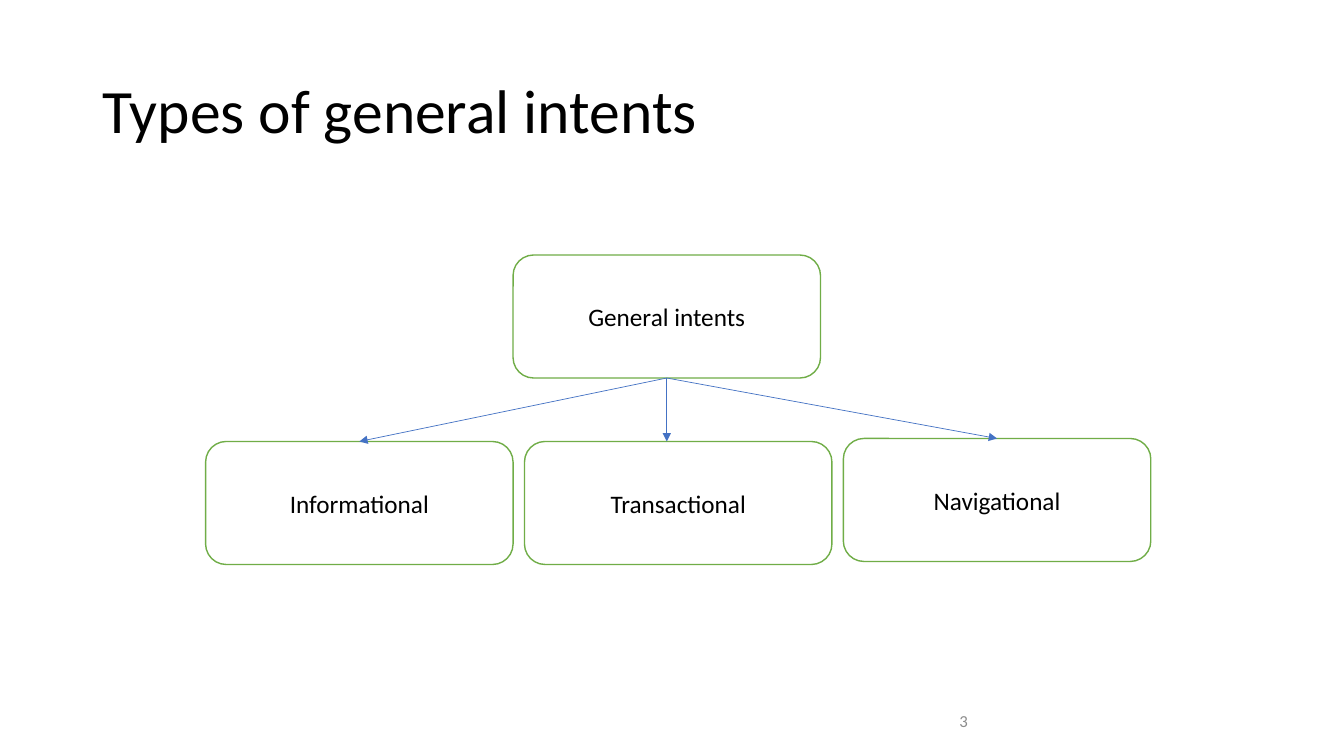
from lxml import etree
from pptx import Presentation
from pptx import util as u
from pptx.dml.color import RGBColor
from pptx.enum import shapes, text
from pptx.oxml.ns import qn

HUES = {"ink": "000000", "page": "FFFFFF", "edge": "70AD47",
        "arrow": "4472C4", "number": "8C8C8C"}
COLS, ROWS = 40, 30


class Deck:
    """Style and current slide; lengths are columns and rows of the grid."""

    font = "Calibri"

    def __init__(self):
        self.file = Presentation()
        self.file.slide_width = u.Inches(13.33)
        self.file.slide_height = u.Inches(7.5)
        self.slide = self.file.slides.add_slide(self.file.slide_layouts[6])

    def grid(self, *cells):
        sides = (self.file.slide_width / COLS, self.file.slide_height / ROWS)
        return [round(cell * sides[i % 2]) for i, cell in enumerate(cells)]

    def hue(self, name):
        return RGBColor.from_string(HUES[name])

    def letter(self, shape, words, size, hue="ink", align=text.PP_ALIGN.LEFT):
        frame = shape.text_frame
        frame.word_wrap = True
        frame.vertical_anchor = text.MSO_ANCHOR.MIDDLE
        frame.text = words
        para = frame.paragraphs[0]
        para.alignment = align
        para.font.name = self.font
        para.font.size = u.Pt(size)
        para.font.color.rgb = self.hue(hue)
        return para

    def label(self, words, area, size, hue="ink"):
        shape = self.slide.shapes.add_textbox(*self.grid(*area))
        return self.letter(shape, words, size, hue)

    def box(self, words, area):
        kind = shapes.MSO_SHAPE.ROUNDED_RECTANGLE
        shape = self.slide.shapes.add_shape(kind, *self.grid(*area))
        shape.shadow.inherit = False
        shape.fill.solid()
        shape.fill.fore_color.rgb = self.hue("page")
        shape.line.color.rgb = self.hue("edge")
        shape.line.width = u.Pt(1)
        self.letter(shape, words, 18, align=text.PP_ALIGN.CENTER)

    def arrow(self, start, end):
        kind = shapes.MSO_CONNECTOR.STRAIGHT
        line = self.slide.shapes.add_connector(kind, *self.grid(*start, *end))
        line.line.color.rgb = self.hue("arrow")
        line.line.width = u.Pt(0.5)
        props = line._element.spPr
        tip = etree.SubElement(props.find(qn("a:ln")), qn("a:tailEnd"))
        tip.set("type", "triangle")
        etree.SubElement(props, qn("a:effectLst"))


deck = Deck()

# Title and slide number
title = deck.label("Types of general intents", (2.76, 1.6, 34.5, 5.8), 44)
title.line_spacing = 0.9
deck.label("3", (28.26, 27.8, 9, 1.6), 12, "number")

# Root intent
WIDE, HIGH = 9.15, 4.88
left, top = 15.27, 10.12
deck.box("General intents", (left, top, WIDE, HIGH))
root = (left + WIDE / 2, top + HIGH)

# Intent types, one step apart, the last slightly raised
first, step = 6.12, 9.49
types = [("Informational", 17.52), ("Transactional", 17.52),
         ("Navigational", 17.4)]
spots = []
for i, (name, row) in enumerate(types):
    col = first + i * step
    deck.box(name, (col, row, WIDE, HIGH))
    spots.append((col + WIDE / 2, row))

# Arrows from the root; the middle one drops straight down
spots[1] = (root[0], spots[1][1])
for spot in spots:
    deck.arrow(root, spot)

deck.file.save("out.pptx")
